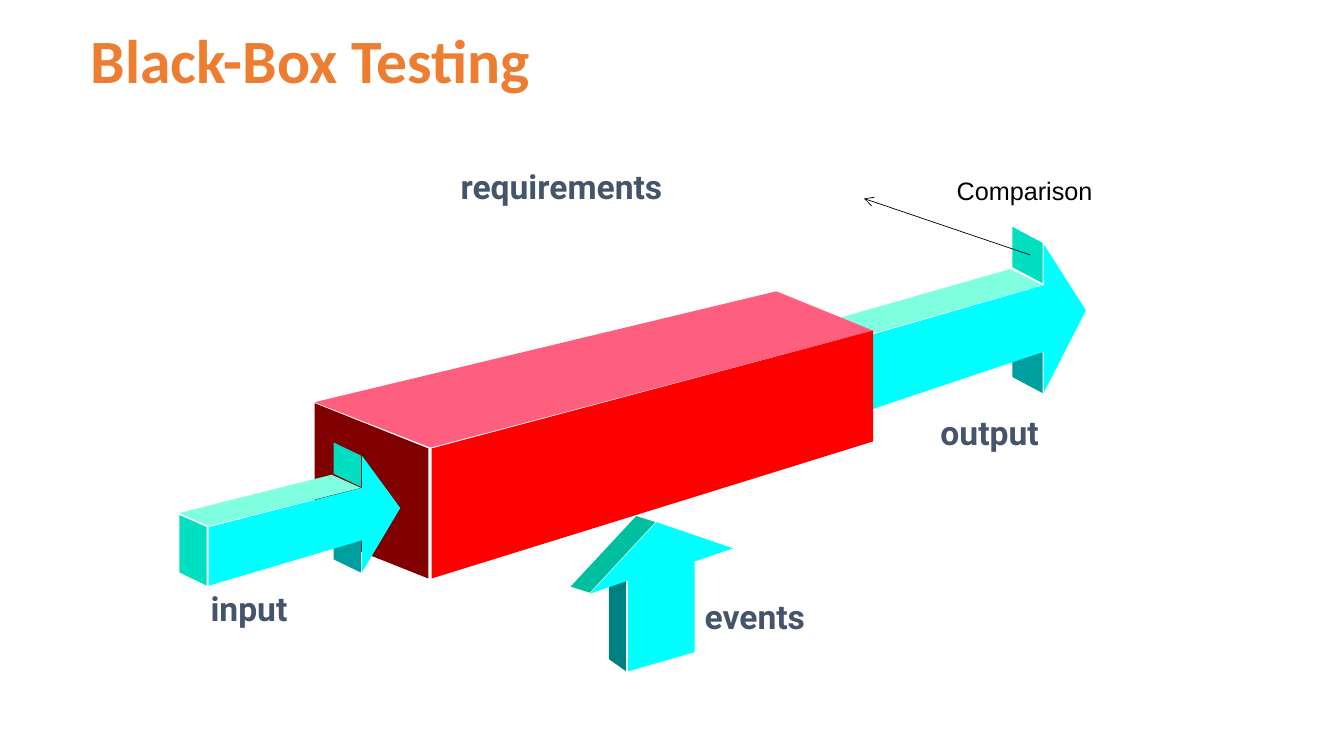
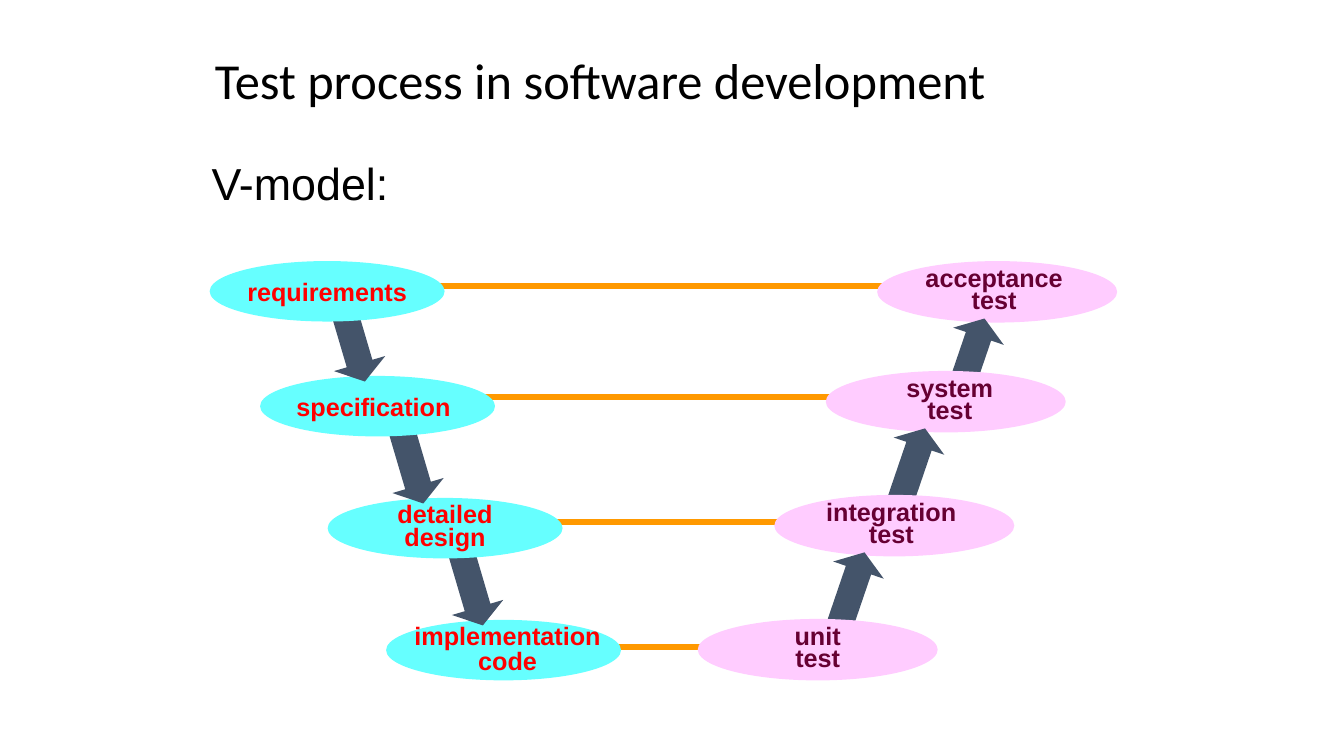
from dataclasses import dataclass
from typing import Any, NamedTuple

from lxml import etree
from pptx import Presentation
from pptx.dml.color import RGBColor
from pptx.enum import shapes, text
from pptx.oxml import ns
from pptx.util import Emu, Pt

PX = 9144
COLOURS = {
    "black": "000000",
    "orange": "ED7D31",
    "slate": "44546A",
    "amber": "FF9900",
    "aqua": "66FFFF",
    "pink": "FFCCFF",
    "plum": "660033",
    "red": "FF0000",
    "maroon": "800000",
    "rose": "FF5F7F",
    "cyan": "00FFFF",
    "mint": "7FFFDF",
    "turquoise": "00DFBF",
    "jade": "00BF9F",
    "teal": "009F9F",
    "deep teal": "008080",
}
HEADLINE = {"name": "Calibri", "size": Pt(44), "bold": True}
PLAIN_HEADLINE = {"name": "Calibri", "size": Pt(36), "bold": False}
CAPTION = {"name": "Roboto", "size": Pt(24), "bold": True}
NOTE = {"name": "Arial", "size": Pt(18), "bold": False}
LEAD = {"name": "Arial", "size": Pt(32), "bold": False}
STAGE = {"name": "Arial", "size": Pt(18), "bold": True}


class Box(NamedTuple):
    left: int
    top: int
    width: int
    height: int


class Face(NamedTuple):
    colour: str
    corners: list[tuple[int, int]]


class Caption(NamedTuple):
    words: str
    box: Box
    style: dict[str, Any]
    colour: str


class Stage(NamedTuple):
    words: str
    left: int
    top: int
    arrow_left: int | None = None
    nudge: int = 0
    spacing: float = 0.75


@dataclass(frozen=True)
class Branch:
    fill: str
    ink: str
    width: int
    height: int
    arrow_turn: float
    arrow_drop: int
    stages: list[Stage]


FACES = [
    Face("teal", [(1034, 390), (1034, 350), (1004, 333), (1004, 374)]),
    Face("cyan", [(1035, 283), (865, 332), (865, 406), (1035, 349),
                  (1035, 390), (1077, 308), (1035, 242)]),
    Face("turquoise", [(863, 333), (863, 406), (834, 390), (834, 317)]),
    Face("mint", [(834, 315), (865, 331), (1034, 283), (1002, 267)]),
    Face("turquoise", [(1034, 241), (1004, 225), (1004, 265), (1034, 281)]),
    Face("deep teal", [(621, 666), (621, 577), (604, 570), (604, 654)]),
    Face("cyan", [(651, 518), (727, 544), (689, 557), (689, 647),
                  (623, 666), (623, 576), (585, 589)]),
    Face("jade", [(585, 588), (566, 582), (631, 512), (650, 518)]),
    Face("maroon", [(312, 400), (425, 445), (425, 574), (312, 529)]),
    Face("rose", [(312, 399), (427, 444), (866, 328), (770, 289)]),
    Face("red", [(428, 445), (428, 574), (866, 438), (866, 328)]),
    Face("teal", [(358, 568), (358, 536), (331, 524), (331, 555)]),
    Face("cyan", [(359, 484), (207, 523), (207, 581), (359, 536),
                  (359, 568), (397, 504), (359, 452)]),
    Face("turquoise", [(205, 523), (205, 581), (178, 568), (178, 511)]),
    Face("mint", [(178, 509), (207, 522), (358, 484), (329, 471)]),
    Face("turquoise", [(358, 452), (331, 439), (331, 470), (358, 483)]),
]

CAPTIONS = [
    Caption("requirements", Box(447, 160, 386, 56), CAPTION, "slate"),
    Caption("events", Box(689, 586, 210, 56), CAPTION, "slate"),
    Caption("input", Box(199, 578, 169, 56), CAPTION, "slate"),
    Caption("output", Box(923, 404, 206, 56), CAPTION, "slate"),
    Caption("Comparison", Box(939, 169, 276, 79), NOTE, "black"),
]

LINKS = [(608, 708, 642), (467, 892, 518), (442, 867, 394), (417, 908, 284)]

BRANCHES = [
    Branch("aqua", "red", 233, 60, -16.4, -67, [
        Stage("implementation\vcode", 383, 615, 442, 4, 0.83),
        Stage("detailed\vdesign", 325, 494, 383),
        Stage("specification", 258, 373, 325, -4, 1.0),
        Stage("requirements", 208, 259, None, 0, 1.0),
    ]),
    Branch("pink", "plum", 238, 61, 198.8, 55, [
        Stage("acceptance\vtest", 870, 259, 938, -3),
        Stage("system\vtest", 819, 368, 879, 4),
        Stage("integration\vtest", 768, 491, 819, -3),
        Stage("unit\vtest", 692, 614),
    ]),
]


def px(length: int) -> Emu:
    return Emu(length * PX)


def emus(box: Box) -> list[Emu]:
    return [px(length) for length in box]


def rgb(colour: str) -> RGBColor:
    return RGBColor.from_string(COLOURS[colour])


def assign(target: Any, values: dict[str, Any]) -> None:
    for key, value in values.items():
        setattr(target, key, value)


def write(frame: Any, words: str, style: dict[str, Any], colour: str,
          **layout: Any) -> None:
    paragraph = frame.paragraphs[0]
    paragraph.text = words
    assign(paragraph, layout)
    for run in paragraph.runs:
        assign(run.font, style)
        run.font.color.rgb = rgb(colour)


def paint(shape: Any, colour: str) -> None:
    shape.shadow.inherit = False
    shape.fill.solid()
    shape.fill.fore_color.rgb = rgb(colour)
    shape.line.fill.background()


def add_titled_slide(deck: Any, words: str, box: Box, style: dict[str, Any],
                     colour: str, indent: int = 10) -> Any:
    slide = deck.slides.add_slide(deck.slide_layouts[5])
    title = slide.shapes.title
    assign(title, dict(zip(Box._fields, emus(box))))
    assign(title.text_frame, {
        "vertical_anchor": text.MSO_ANCHOR.MIDDLE,
        "auto_size": text.MSO_AUTO_SIZE.NONE,
        "word_wrap": True,
        "margin_left": px(indent),
    })
    write(title.text_frame, words, style, colour,
          alignment=text.PP_ALIGN.LEFT, line_spacing=0.9)
    return slide


def add_caption(slide: Any, caption: Caption) -> None:
    frame = slide.shapes.add_textbox(*emus(caption.box)).text_frame
    frame.word_wrap = True
    write(frame, caption.words, caption.style, caption.colour)


def add_face(slide: Any, face: Face) -> None:
    start, *others = face.corners
    outline = slide.shapes.build_freeform(*start, scale=PX)
    outline.add_line_segments(others, close=True)
    paint(outline.convert_to_shape(), face.colour)


def add_line(slide: Any, start: tuple[int, int], end: tuple[int, int],
             colour: str, weight: float, arrow: bool = False) -> None:
    line = slide.shapes.add_connector(
        shapes.MSO_CONNECTOR.STRAIGHT, *map(px, start + end))
    line.line.color.rgb = rgb(colour)
    line.line.width = Pt(weight)
    properties = line._element.spPr
    if arrow:
        etree.SubElement(properties.find(ns.qn("a:ln")), ns.qn("a:tailEnd"),
                         type="arrow")
    etree.SubElement(properties, ns.qn("a:effectLst"))


def add_stage(slide: Any, branch: Branch, stage: Stage) -> None:
    oval = slide.shapes.add_shape(
        shapes.MSO_SHAPE.OVAL,
        *emus(Box(stage.left, stage.top, branch.width, branch.height)))
    paint(oval, branch.fill)
    assign(oval.text_frame, {
        "word_wrap": False,
        "vertical_anchor": text.MSO_ANCHOR.MIDDLE,
        "margin_left": px(max(2 * stage.nudge, 0)),
        "margin_right": px(max(-2 * stage.nudge, 0)),
        "margin_top": 0,
        "margin_bottom": 0,
    })
    write(oval.text_frame, stage.words, STAGE, branch.ink,
          alignment=text.PP_ALIGN.CENTER, line_spacing=stage.spacing)
    if stage.arrow_left is not None:
        arrow = slide.shapes.add_shape(
            shapes.MSO_SHAPE.DOWN_ARROW,
            *emus(Box(stage.arrow_left, stage.top + branch.arrow_drop, 53, 74)))
        arrow.adjustments[1] = 0.35
        arrow.rotation = branch.arrow_turn
        paint(arrow, "slate")


def build_black_box(deck: Any) -> None:
    slide = add_titled_slide(deck, "Black-Box Testing", Box(80, 23, 968, 80),
                             HEADLINE, "orange")
    for face in FACES:
        add_face(slide, face)
    add_line(slide, (1022, 253), (857, 197), "black", 0.5, arrow=True)
    for caption in CAPTIONS:
        add_caption(slide, caption)


def build_v_model(deck: Any) -> None:
    slide = add_titled_slide(deck, "Test process in software development",
                             Box(192, 33, 929, 100), PLAIN_HEADLINE, "black",
                             indent=21)
    add_caption(slide, Caption("V-model:", Box(200, 150, 914, 505), LEAD, "black"))
    for left, right, level in LINKS:
        add_line(slide, (left, level), (right, level), "amber", 4.5)
    for branch in BRANCHES:
        for stage in branch.stages:
            add_stage(slide, branch, stage)


def main() -> None:
    deck = Presentation()
    deck.slide_width, deck.slide_height = px(1333), px(750)
    build_black_box(deck)
    build_v_model(deck)
    deck.save("out.pptx")


if __name__ == "__main__":
    main()
